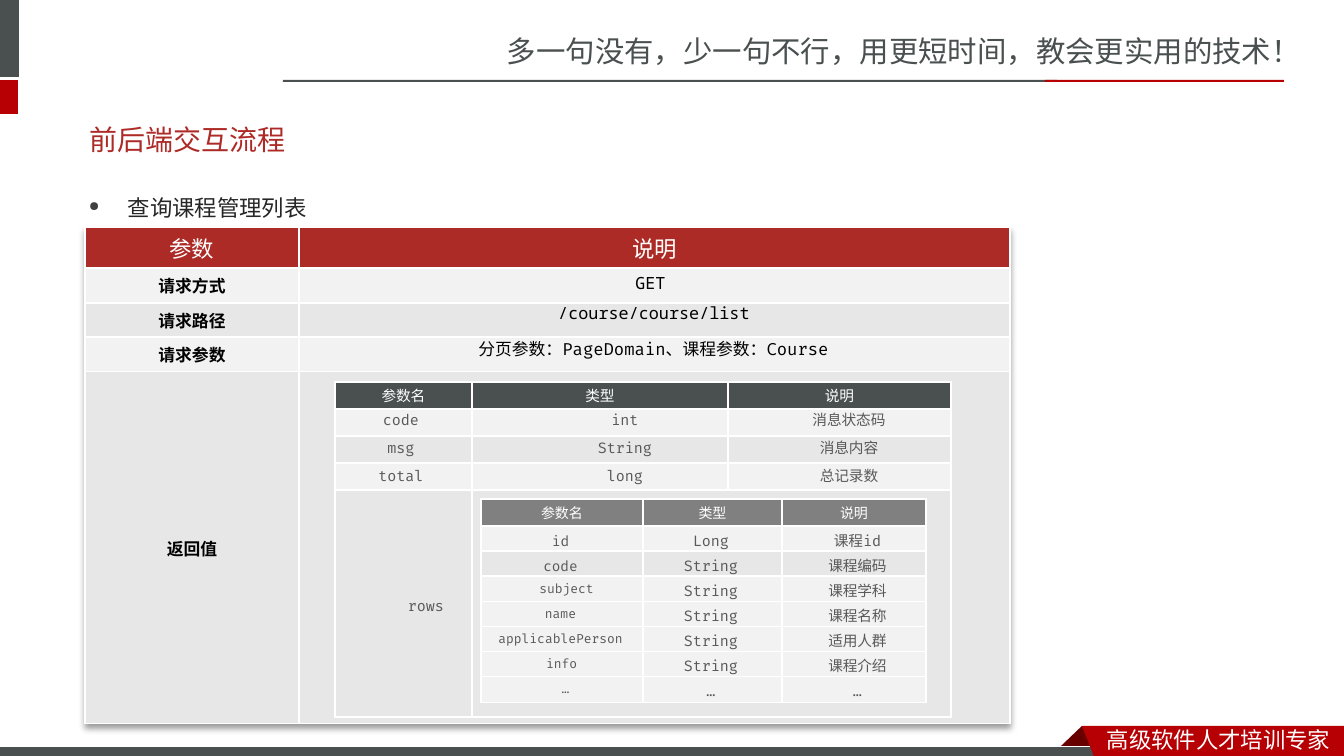
from lxml import etree
from pptx import Presentation
from pptx.dml.color import RGBColor
from pptx.enum.shapes import MSO_SHAPE
from pptx.enum.text import MSO_ANCHOR, MSO_AUTO_SIZE, PP_ALIGN
from pptx.oxml.ns import qn
from pptx.util import Emu, Pt

EMU_PER_PX = 914400 / 100.8
LEFT, CENTER = PP_ALIGN.LEFT, PP_ALIGN.CENTER
TOP, MIDDLE = MSO_ANCHOR.TOP, MSO_ANCHOR.MIDDLE
GROW = MSO_AUTO_SIZE.SHAPE_TO_FIT_TEXT
RECTANGLE = MSO_SHAPE.RECTANGLE
CJK, CODE, MONO = "Noto Sans CJK SC", "Fira Code", "Noto Sans Mono"
SLATE, RED, DARK_RED, BRICK = "49504F", "B60004", "680000", "AD2B26"
WHITE, BLACK, GRAY, MID_GRAY = "FFFFFF", "000000", "595959", "808080"
LIGHT, BAND = "F2F2F2", "E7E7E7"

REQUEST_LABELS = ["请求方式", "请求路径", "请求参数", "返回值"]
RESPONSE_FIELDS = [
    ("code", "int", "消息状态码"),
    ("msg", "String", "消息内容"),
    ("total", "long", "总记录数"),
]
# name, type, description, size of the name, shift of the name in px
COURSE_FIELDS = [
    ("id", "Long", "课程id", 10, 0),
    ("code", "String", "课程编码", 10, 0),
    ("subject", "String", "课程学科", 9, 6),
    ("name", "String", "课程名称", 9, 0),
    ("applicablePerson", "String", "适用人群", 9, 0),
    ("info", "String", "课程介绍", 9, 1),
    ("…", "…", "…", 9, 5),
]


def px(length):
    return Emu(round(length * EMU_PER_PX))


def color(value):
    return RGBColor.from_string(value)


def format_text(paragraph, size, font, fill, align=LEFT, bold=False):
    paragraph.alignment = align
    paragraph.font.size = Pt(size)
    paragraph.font.name = font
    paragraph.font.bold = bold
    paragraph.font.color.rgb = color(fill)
    defaults = paragraph._p.pPr.find(qn("a:defRPr"))
    etree.SubElement(defaults, qn("a:ea"), typeface=CJK)


def add_text(shapes, box, text, size, font, fill, align=LEFT, anchor=TOP):
    shape = shapes.add_textbox(*map(px, box))
    frame = shape.text_frame
    frame.word_wrap = True
    frame.auto_size = GROW
    frame.vertical_anchor = anchor
    frame.text = text
    format_text(frame.paragraphs[0], size, font, fill, align)
    return shape


def paint(shape, fill, line=None):
    shape.shadow.inherit = False
    shape.fill.solid()
    shape.fill.fore_color.rgb = color(fill)
    if line:
        shape.line.color.rgb = color(line)
        shape.line.width = Pt(0.75)
    else:
        shape.line.fill.background()


def add_bar(slide, box, fill, line=None):
    paint(slide.shapes.add_shape(RECTANGLE, *map(px, box)), fill, line)


def add_outline(slide, points, fill):
    builder = slide.shapes.build_freeform(*points[0], scale=EMU_PER_PX)
    builder.add_line_segments(points[1:], close=True)
    paint(builder.convert_to_shape(), fill)


def format_cell(cell, fill):
    cell.margin_top = cell.margin_bottom = 0
    cell.vertical_anchor = MIDDLE
    properties = cell._tc.get_or_add_tcPr()
    for side in ("lnL", "lnR", "lnT", "lnB"):
        border = etree.SubElement(properties, qn(f"a:{side}"), w=str(Pt(1)))
        solid = etree.SubElement(border, qn("a:solidFill"))
        etree.SubElement(solid, qn("a:srgbClr"), val=WHITE)
    cell.fill.solid()
    cell.fill.fore_color.rgb = color(fill)


def set_cell_text(cell, text, size, fill, bold=False):
    cell.text = text
    format_text(cell.text_frame.paragraphs[0], size, CODE, fill, CENTER, bold)


def add_grid(slide, left, top, columns, rows, headers, size, header_fill, bands):
    """Add a table with a header row and body rows in the given band colours."""
    box = (left, top, sum(columns), sum(rows))
    table = slide.shapes.add_table(len(rows), len(columns), *map(px, box)).table
    table.horz_banding = False
    for column, width in zip(table.columns, columns):
        column.width = px(width)
    fills = [header_fill] + bands
    for index, (row, height) in enumerate(zip(table.rows, rows)):
        row.height = px(height)
        for cell, header in zip(row.cells, headers):
            format_cell(cell, fills[index])
            if index == 0:
                set_cell_text(cell, header, size, WHITE)
            else:
                paragraph = cell.text_frame.paragraphs[0]
                etree.SubElement(paragraph._p, qn("a:endParaRPr"), sz="800")
    return table


def add_table_shadow(table):
    effects = etree.Element(qn("a:effectLst"))
    shadow = etree.SubElement(effects, qn("a:outerShdw"), blurRad="50800",
                              dist="38100", dir="5400000", algn="t")
    shade = etree.SubElement(shadow, qn("a:srgbClr"), val=BLACK)
    etree.SubElement(shade, qn("a:alpha"), val="40000")
    table._tbl.tblPr.insert(0, effects)


def add_field_row(slide, top, texts, columns, name_size=10.5, shift=0):
    """Group one row of centred labels; columns holds (left, width) pairs."""
    shapes = slide.shapes.add_group_shape().shapes
    for index, (text, (left, width)) in enumerate(zip(texts, columns)):
        is_name = index == 0
        offset = shift if is_name else 0
        size = name_size if is_name else 10.5
        height = 25 if size == 9 else 29
        shape = add_text(shapes, (left + offset, top, width, height),
                         text, size, CODE, GRAY, CENTER, MIDDLE)
        if size == 9:
            shape.text_frame.margin_left = shape.text_frame.margin_right = 0


def add_frame(slide):
    add_text(slide.shapes, (497, 28, 847, 47),
             "多一句没有，少一句不行，用更短时间，教会更实用的技术！", 21, CJK, SLATE)
    add_bar(slide, (-6, 0, 25, 77), SLATE)
    add_bar(slide, (-6, 80, 24, 34), RED)
    add_bar(slide, (283, 80, 774, 2), SLATE)
    add_bar(slide, (1045, 80, 239, 2), RED)
    add_outline(slide, [(1082, 726), (1104, 748), (1103, 749),
                        (1060, 749), (1059, 748)], DARK_RED)
    add_bar(slide, (-1, 747, 1109, 12), SLATE, WHITE)
    add_outline(slide, [(1082, 726), (1344, 726), (1344, 760), (1095, 759)], RED)
    add_text(slide.shapes, (1097, 721, 247, 37), "高级软件人才培训专家", 16, CJK, WHITE)


def add_heading(slide, left, top):
    title = slide.shapes.title
    title.left, title.top, title.width, title.height = map(px, (left, top, 1185, 57))
    title.text_frame.text = "前后端交互流程"
    title.text_frame.vertical_anchor = MIDDLE
    format_text(title.text_frame.paragraphs[0], 20, "Arial", "AD2A26")

    shape = slide.shapes.add_textbox(*map(px, (left, top + 65, 1066, 51)))
    shape.text_frame.word_wrap = True
    shape.text_frame.text = "查询课程管理列表"
    paragraph = shape.text_frame.paragraphs[0]
    paragraph.line_spacing = 1.5
    properties = paragraph._p.get_or_add_pPr()
    properties.set("marL", str(px(39)))
    properties.set("indent", str(px(-39)))
    bullet_color = etree.SubElement(properties, qn("a:buClr"))
    etree.SubElement(bullet_color, qn("a:srgbClr"), val="404040")
    etree.SubElement(properties, qn("a:buSzPct"), val="60000")
    etree.SubElement(properties, qn("a:buChar"), char="●")
    format_text(paragraph, 16, "Roboto", "262626")


def add_request_table(slide, left, top):
    table = add_grid(slide, left, top, [214, 711], [41, 35, 34, 35, 352],
                     ["参数", "说明"], 16, BRICK, [LIGHT, BAND] * 2)
    add_table_shadow(table)
    for row, label in enumerate(REQUEST_LABELS, start=1):
        set_cell_text(table.cell(row, 0), label, 12, BLACK, bold=True)
    for x, y, width, text, font in [
        (468, 41, 195, "GET", MONO),
        (396, 71, 346, "/course/course/list", MONO),
        (235, 107, 667, "分页参数：PageDomain、课程参数：Course", CODE),
    ]:
        add_text(slide.shapes, (left + x, top + y, width, 30),
                 text, 12, font, BLACK, CENTER)


def add_response_table(slide, left, top):
    table = add_grid(slide, left, top, [137, 256, 223], [27] * 4 + [227],
                     ["参数名", "类型", "说明"], 10.5, SLATE, [LIGHT, BAND] * 2)
    table.cell(4, 1).merge(table.cell(4, 2))
    columns = [(left, 132), (left + 180, 220), (left + 400, 228)]
    for index, texts in enumerate(RESPONSE_FIELDS):
        add_field_row(slide, top + 23 + 28 * index, texts, columns)
    add_text(slide.shapes, (left + 63, top + 210, 70, 28), "rows", 10.5, CODE, GRAY)


def add_course_table(slide, left, top):
    add_grid(slide, left, top, [162, 139, 144], [27, 25, 25, 26, 25, 25, 25, 26],
             ["参数名", "类型", "说明"], 10, MID_GRAY, [LIGHT, BAND] + [LIGHT] * 5)
    columns = [(left, 159), (left + 159, 142), (left + 301, 151)]
    for index, (*texts, name_size, shift) in enumerate(COURSE_FIELDS):
        add_field_row(slide, top + 27 + 25 * index, texts, columns, name_size, shift)


def main():
    presentation = Presentation()
    presentation.slide_width, presentation.slide_height = px(1344), px(756)
    slide = presentation.slides.add_slide(presentation.slide_layouts[5])
    add_frame(slide)
    add_heading(slide, 79, 111)
    add_request_table(slide, 85, 227)
    add_response_table(slide, 335, 382)
    add_course_table(slide, 481, 499)
    presentation.save("out.pptx")


if __name__ == "__main__":
    main()
